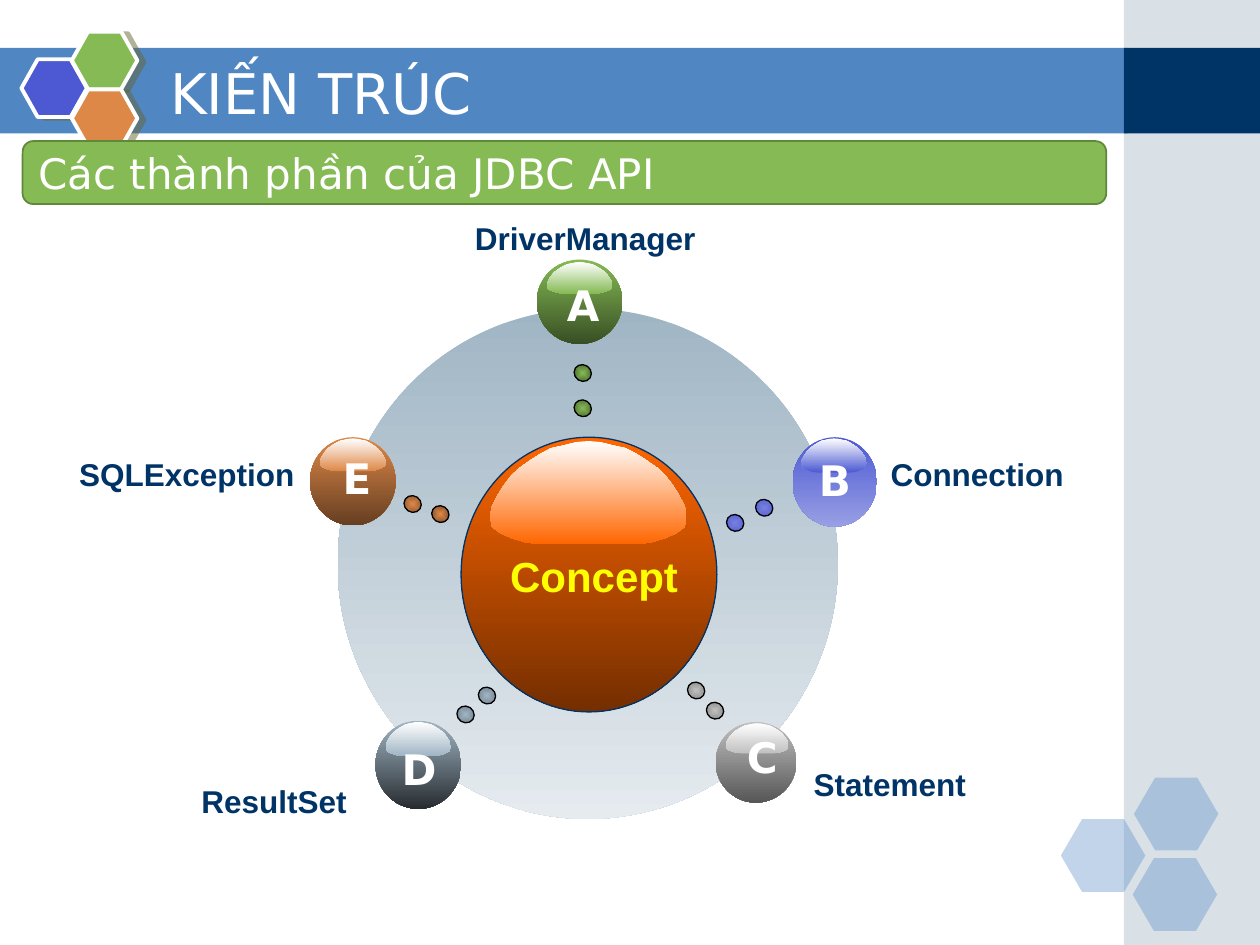
"""Build the slide on the parts of the JDBC API."""
from pptx import Presentation
from pptx.dml.color import RGBColor
from pptx.enum import shapes, text
from pptx.oxml import parse_xml
from pptx.oxml.ns import nsdecls, qn
from pptx.util import Inches, Pt

NAVY, WHITE, BLUE = "003366", "FFFFFF", "5086C2"
GREEN, ORANGE, VIOLET, STEEL, GRAY = "85BA54", "DE8848", "4C59D2", "A0B5C4", "C0C0C0"
SANS = "DejaVu Sans"
KIND = shapes.MSO_SHAPE

HALF = [(.5, 0), (.44, .01), (.38, .04), (.31, .07), (.26, .12), (.21, .18),
        (.15, .26), (.11, .33), (.07, .43), (.04, .52), (.01, .63), (0, .73),
        (.01, .83), (.05, .89), (.11, .94), (.18, .98), (.26, 1), (.36, 1)]
GLOSS = HALF + [(1 - x, y) for x, y in reversed(HALF[1:])]

NODES = [
    ("A", (4.26, 2.06, .68, .67), (4.34, 2.08, .52, .25), (4.4, 2.17, .43, .5), GREEN, "384F24"),
    ("D", (2.98, 5.72, .68, .7), (3.06, 5.73, .52, .27), (3.09, 5.85, .44, .5), STEEL, "272C30"),
    ("B", (6.29, 3.47, .67, .71), (6.36, 3.48, .52, .27), (6.4, 3.56, .42, .5), VIOLET, "989FE5"),
    ("C", (5.68, 5.73, .64, .64), (5.76, 5.74, .5, .24), (5.83, 5.76, .41, .5), GRAY, "575757"),
    ("E", (2.46, 3.47, .68, .7), (2.54, 3.48, .52, .26), (2.62, 3.54, .38, .5), ORANGE, "653E21"),
]
DOTS = [
    (3.63, 5.6, STEEL, "6B7983"), (3.8, 5.45, STEEL, "6B7983"),
    (5.61, 5.57, GRAY, "808080"), (5.46, 5.41, GRAY, "808080"),
    (3.21, 3.93, ORANGE, "804E2A"), (3.43, 4.01, ORANGE, "6C4223"),
    (4.56, 2.89, GREEN, "3C5526"), (4.56, 3.17, GREEN, "415A29"),
    (6, 3.96, "7881DD", VIOLET), (5.77, 4.08, "7881DD", VIOLET),
]
LABELS = [
    ("DriverManager", (3.67, 1.69, 1.95, .4)), ("SQLException", (.53, 3.56, 1.91, .4)),
    ("Connection", (6.97, 3.56, 1.6, .4)), ("Statement", (6.36, 6.02, 1.41, .4)),
    ("ResultSet", (1.5, 6.16, 1.35, .4)),
]


def rgb(code):
    """Turn a hex string into a colour."""
    return RGBColor.from_string(code)


def place(box):
    """Turn a box in inches into lengths."""
    return [Inches(v) for v in box]


def paint(shape, fill, line=None, width=.75, alpha=None):
    """Fill with one colour or a downward blend, and set the outline."""
    shape.shadow.inherit = False
    if isinstance(fill, tuple):
        shape.fill.gradient()
        shape.fill.gradient_angle = 270
        for stop, code, pos in zip(shape.fill.gradient_stops, fill, (0, 1)):
            stop.color.rgb, stop.position = rgb(code), pos
    else:
        shape.fill.solid()
        shape.fill.fore_color.rgb = rgb(fill)
    if alpha:
        tint = shape.element.spPr.find(".//" + qn("a:srgbClr"))
        tint.append(parse_xml(f'<a:alpha {nsdecls("a")} val="{alpha * 1000}"/>'))
    if line:
        shape.line.color.rgb, shape.line.width = rgb(line), Pt(width)
    else:
        shape.line.fill.background()


def draw(slide, kind, box, fill, adj=(), **look):
    """Add a preset shape."""
    shape = slide.shapes.add_shape(kind, *place(box))
    for i, value in enumerate(adj):
        shape.adjustments[i] = value
    paint(shape, fill, **look)
    return shape


def shine(slide, box, code):
    """Add the glossy cap of a ball."""
    x, y, w, h = box
    pts = [(Inches(x + a * w), Inches(y + b * h)) for a, b in GLOSS]
    path = slide.shapes.build_freeform(*pts[0])
    path.add_line_segments(pts[1:])
    paint(path.convert_to_shape(), (WHITE, code))


def shade(shape):
    """Cast a short hard shadow to the right."""
    old = shape.element.spPr.find(qn("a:effectLst"))
    old.append(parse_xml(
        f'<a:outerShdw {nsdecls("a")} dist="{Pt(4.1)}" dir="840000" algn="ctr" rotWithShape="0">'
        '<a:srgbClr val="666633"><a:alpha val="50000"/></a:srgbClr></a:outerShdw>'))


def write(shape, words, size=18, font="Arial", color=NAVY, bold=False,
          align="LEFT", anchor="TOP", wrap=False):
    """Put formatted text in a shape."""
    frame = shape.text_frame
    frame.word_wrap = wrap
    frame.vertical_anchor = getattr(text.MSO_ANCHOR, anchor)
    para = frame.paragraphs[0]
    para.text, para.alignment = words, getattr(text.PP_ALIGN, align)
    para.font.size, para.font.name, para.font.bold = Pt(size), font, bold
    para.font.color.rgb = rgb(color)


def label(slide, words, box, **look):
    """Add a bold text box that grows with its text."""
    item = slide.shapes.add_textbox(*place(box))
    write(item, words, bold=True, **look)
    item.text_frame.auto_size = text.MSO_AUTO_SIZE.SHAPE_TO_FIT_TEXT


def dot(slide, x, y, *blend):
    """Add a small dot lit from its centre."""
    item = draw(slide, KIND.OVAL, (x, y, .13, .14), blend, line="000000")
    item.rotation = 303.8
    lin = item.element.spPr.find(".//" + qn("a:lin"))
    lin.getparent().replace(lin, parse_xml(
        f'<a:path {nsdecls("a")} path="rect">'
        '<a:fillToRect l="50000" t="50000" r="50000" b="50000"/></a:path>'))


def frame(slide):
    """Draw the banner, side strip and hexagons."""
    draw(slide, KIND.RECTANGLE, (-.01, .38, 8.96, .68), BLUE)
    draw(slide, KIND.RECTANGLE, (8.92, 0, 1.08, 7.5), STEEL, alpha=40)
    draw(slide, KIND.RECTANGLE, (8.92, .38, 1.08, .68), NAVY)
    for x, y in ((8.42, 6.5), (9, 6.17), (8.99, 6.81)):
        draw(slide, KIND.HEXAGON, (x, y, .67, .58), BLUE, adj=(.29, 1.15), alpha=35)
    for x, y, code in ((.17, .47, VIOLET), (.57, .25, GREEN), (.57, .71, ORANGE)):
        shade(draw(slide, KIND.HEXAGON, (x, y, .52, .46), code,
                   adj=(.28, 1.15), line=WHITE, width=2.25))


def head(slide):
    """Place the title in front of the banner."""
    title = slide.shapes.title
    title.left, title.top, title.width, title.height = place((1.25, .42, 7.33, .62))
    write(title, "KIẾN TRÚC", size=32, font=SANS, color=WHITE, anchor="MIDDLE", wrap=True)
    title.element.getparent().append(title.element)


def wheel(slide):
    """Draw the hub, the lettered balls and the dots between them."""
    draw(slide, KIND.OVAL, (2.68, 2.45, 3.97, 4.05), (STEEL, "E5EBEF"))
    draw(slide, KIND.OVAL, (3.66, 3.47, 2.03, 2.18), ("FF6600", "742E00"), line=NAVY)
    shine(slide, (3.89, 3.5, 1.56, .82), "FF6600")
    label(slide, "Concept", (3.95, 4.32, 1.53, .5), size=24, color="FFFF00", align="CENTER")
    for letter, ball, cap, box, top, low in NODES:
        draw(slide, KIND.OVAL, ball, (top, low))
        shine(slide, cap, top)
        label(slide, letter, box, size=24, font=SANS, color=WHITE, align="CENTER")
    for item in DOTS:
        dot(slide, *item)


def main():
    """Build and save the slide."""
    deck = Presentation()
    deck.slide_width, deck.slide_height = Inches(10), Inches(7.5)
    slide = deck.slides.add_slide(deck.slide_layouts[5])
    frame(slide)
    head(slide)
    wheel(slide)
    for words, box in LABELS:
        label(slide, words, box)
    bar = draw(slide, KIND.ROUNDED_RECTANGLE, (.18, 1.12, 8.6, .5), GREEN,
               adj=(.17,), line="60883B", width=1)
    write(bar, "Các thành phần của JDBC API", size=24, font=SANS, color=WHITE, anchor="MIDDLE")
    deck.save("out.pptx")


if __name__ == "__main__":
    main()
